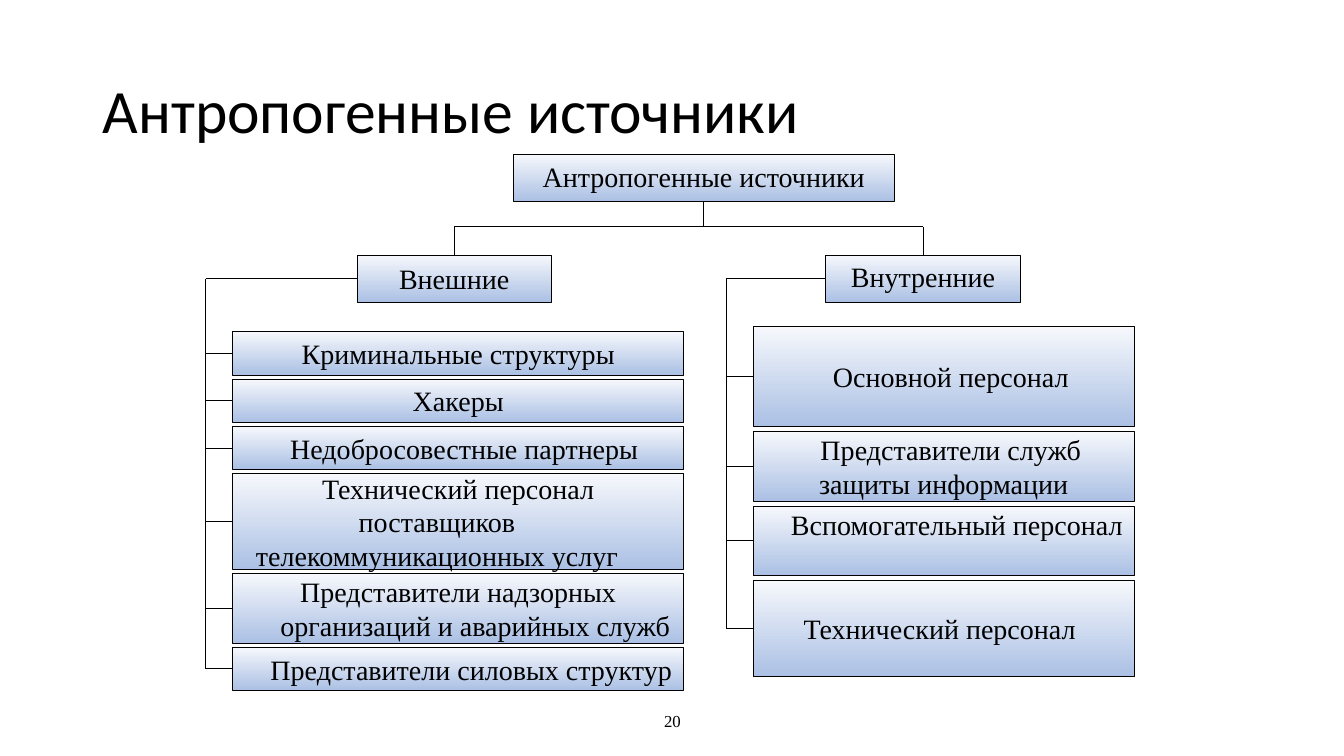
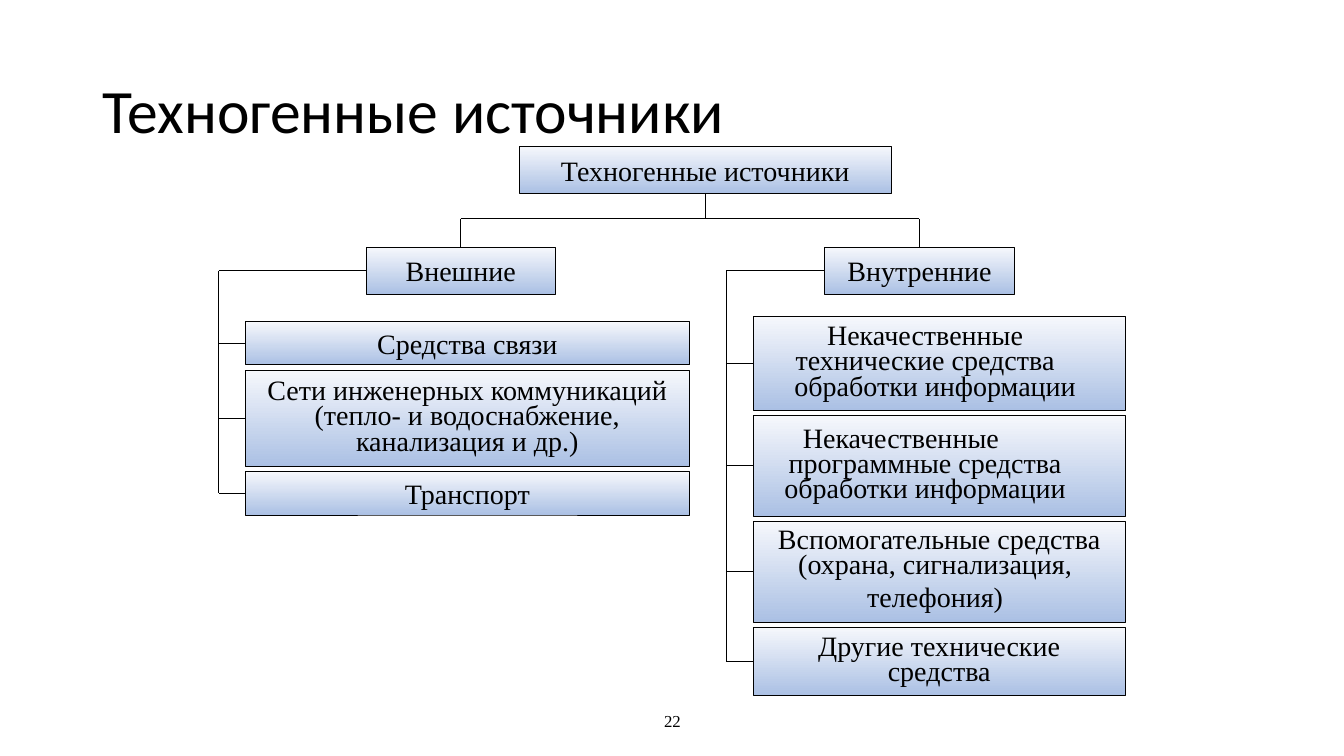
from lxml import etree
from pptx import Presentation
from pptx.dml.color import RGBColor
from pptx.enum.shapes import MSO_CONNECTOR, MSO_SHAPE
from pptx.enum.text import MSO_ANCHOR, PP_ALIGN
from pptx.oxml.ns import qn
from pptx.util import Inches, Pt

RECT, STRAIGHT = MSO_SHAPE.RECTANGLE, MSO_CONNECTOR.STRAIGHT
TOP, MIDDLE = MSO_ANCHOR.TOP, MSO_ANCHOR.MIDDLE
LEFT, CENTER = PP_ALIGN.LEFT, PP_ALIGN.CENTER
SIDE_TOP, SIDE_LEFT, SIDE_BOTTOM = 0, 1, 2

# Shared style
BLACK, BOX_LIGHT, BOX_DARK = "000000", "F6F8FC", "ABC0E4"
TITLE = dict(name="Calibri", size=Pt(44))
BODY = dict(name="Times New Roman", size=Pt(20))
FOOTER = dict(name="Times New Roman", size=Pt(12))
HEAD_H, ROOT_TO_HEAD, ROOT_TO_BUS = 0.47, 1.0, 0.25
TIGHT = 0.75

# A line is (text, sideways shift, line spacing); an item is (height, lines, options)
SLIDES = [
    dict(
        title="Антропогенные источники", page="20",
        root=(5.09, 1.53, 3.78), root_format=dict(anchor=TOP), head_w=1.93,
        branches=[
            dict(name="Внешние", head_x=3.54, head_format={}, trunk=2.04,
                 x=2.31, y=3.29, w=4.47, gap=0.04, items=[
                     (0.43, [("Криминальные структуры", 0, 1)], {}),
                     (0.43, [("Хакеры", 0, 1)], {}),
                     (0.43, [("Недобросовестные партнеры", 0.06, 1)], {}),
                     (0.95, [("Технический персонал", 0, 1), ("поставщиков", -0.21, 1),
                             ("телекоммуникационных услуг", 0, 1)], {}),
                     (0.69, [("Представители надзорных", 0, 1),
                             ("организаций и аварийных служб", 0.17, 1)], {}),
                     (0.43, [("Представители силовых структур", 0.13, 1)], {}),
                 ]),
            dict(name="Внутренние", head_x=8.19, head_format=dict(anchor=TOP), trunk=7.2,
                 x=7.47, y=3.24, w=3.78, gap=0.05, items=[
                     (0.99, [("Основной персонал", 0.07, 1)], {}),
                     (0.69, [("Представители служб", 0.07, 1),
                             ("защиты информации", 0, 1)], {}),
                     (0.69, [("Вспомогательный персонал", 0.13, 1)],
                      dict(anchor=TOP, inset=0.01)),
                     (0.95, [("Технический персонал", -0.04, 1)], {}),
                 ]),
        ]),
    dict(
        title="Техногенные источники", page="22",
        root=(5.15, 1.45, 3.69), root_format={}, head_w=1.88,
        branches=[
            dict(name="Внешние", head_x=3.63, head_format={}, trunk=2.17,
                 x=2.43, y=3.19, w=4.41, gap=0.05, items=[
                     (0.43, [("Средства связи", 0, 1)], {}),
                     (0.96, [("Сети инженерных коммуникаций (тепло- и водоснабжение, "
                              "канализация и др.)", 0, TIGHT)], {}),
                     (0.43, [("Транспорт", 0, 1)], {}),
                 ]),
            dict(name="Внутренние", head_x=8.18, head_format={}, trunk=7.2,
                 x=7.47, y=3.14, w=3.69, gap=0.05, items=[
                     (0.93, [("Некачественные", -0.14, TIGHT),
                             ("технические средства", 0, TIGHT),
                             ("обработки информации", -0.04, TIGHT)], {}),
                     (1.0, [("Некачественные", -0.38, TIGHT),
                            ("программные средства", -0.14, TIGHT),
                            ("обработки информации", 0, TIGHT)], {}),
                     (1.0, [("Вспомогательные средства", 0, TIGHT),
                            ("(охрана, сигнализация,", -0.04, TIGHT),
                            ("телефония)", 0, 1)], {}),
                     (0.68, [("Другие технические", 0, TIGHT),
                             ("средства", 0, TIGHT)], {}),
                 ]),
        ]),
]


def rgb(color):
    return RGBColor.from_string(color)


def write(sp, lines, font, align=CENTER, anchor=MIDDLE, inset=0.05):
    tf = sp.text_frame
    margins = dict(margin_left=Inches(0.1), margin_right=Inches(0.1),
                   margin_top=Inches(inset), margin_bottom=Inches(inset))
    for key, value in dict(margins, word_wrap=True, vertical_anchor=anchor).items():
        setattr(tf, key, value)
    for i, (text, shift, spacing) in enumerate(lines):
        p = tf.add_paragraph() if i else tf.paragraphs[0]
        p.alignment, p.line_spacing = align, spacing
        if shift:  # an indent on one side moves a centred line by half of it
            side = "marL" if shift > 0 else "marR"
            p._p.get_or_add_pPr().set(side, str(int(Inches(2 * abs(shift)))))
        r = p.add_run()
        r.text = text
        for key, value in font.items():
            setattr(r.font, key, value)
        r.font.color.rgb = rgb(BLACK)


def add_text(s, x, y, w, h, line, font, align):
    sp = s.shapes.add_textbox(*map(Inches, (x, y, w, h)))
    write(sp, [line], font, align)


def add_box(s, x, y, w, h, lines, options):
    sp = s.shapes.add_shape(RECT, *map(Inches, (x, y, w, h)))
    sp.shadow.inherit = False
    sp.fill.gradient()
    sp.fill.gradient_angle = 270
    for stop, position, color in zip(sp.fill.gradient_stops, (0, 1), (BOX_LIGHT, BOX_DARK)):
        stop.position = position
        stop.color.rgb = rgb(color)
    sp.line.color.rgb = rgb(BLACK)
    sp.line.width = Pt(0.5)
    write(sp, lines, BODY, **options)
    return sp


def add_line(s, x1, y1, x2, y2, begin=None, end=None):
    line = s.shapes.add_connector(STRAIGHT, *map(Inches, (x1, y1, x2, y2)))
    line.line.color.rgb = rgb(BLACK)
    line.line.width = Pt(0.5)
    etree.SubElement(line._element.spPr, qn("a:effectLst"))
    if begin:
        line.begin_connect(*begin)
    if end:
        line.end_connect(*end)


def add_branch(s, branch, head_y, head_w, bus_y):
    # Head with its drop from the bus
    head_x, trunk = branch["head_x"], branch["trunk"]
    center, head_mid = head_x + head_w / 2, head_y + HEAD_H / 2
    head = add_box(s, head_x, head_y, head_w, HEAD_H,
                   [(branch["name"], 0, 1)], branch["head_format"])
    add_line(s, center, bus_y, center, head_y, end=(head, SIDE_TOP))
    add_line(s, head_x, head_mid, trunk, head_mid, begin=(head, SIDE_LEFT))
    # Stack of items, each joined to the trunk
    x, y = branch["x"], branch["y"]
    for h, lines, options in branch["items"]:
        box = add_box(s, x, y, branch["w"], h, lines, options)
        mid = y + h / 2
        add_line(s, trunk, mid, x, mid, end=(box, SIDE_LEFT))
        y += h + branch["gap"]
    add_line(s, trunk, head_mid, trunk, mid)
    return center


def add_tree(s, data):
    x, y, w = data["root"]
    bus_y = y + HEAD_H + ROOT_TO_BUS
    root = add_box(s, x, y, w, HEAD_H, [(data["title"], 0, 1)], data["root_format"])
    add_line(s, x + w / 2, y + HEAD_H, x + w / 2, bus_y, begin=(root, SIDE_BOTTOM))
    left, right = [add_branch(s, branch, y + ROOT_TO_HEAD, data["head_w"], bus_y)
                   for branch in data["branches"]]
    add_line(s, left, bus_y, right, bus_y)


def main():
    prs = Presentation()
    prs.slide_width, prs.slide_height = Inches(13.33), Inches(7.5)
    for data in SLIDES:
        s = prs.slides.add_slide(prs.slide_layouts[6])
        add_text(s, 0.92, 0.4, 11.5, 1.45, (data["title"], 0, 0.9), TITLE, LEFT)
        add_text(s, 4.42, 6.95, 4.5, 0.4, (data["page"], 0, 1), FOOTER, CENTER)
        add_tree(s, data)
    prs.save("out.pptx")


if __name__ == "__main__":
    main()
